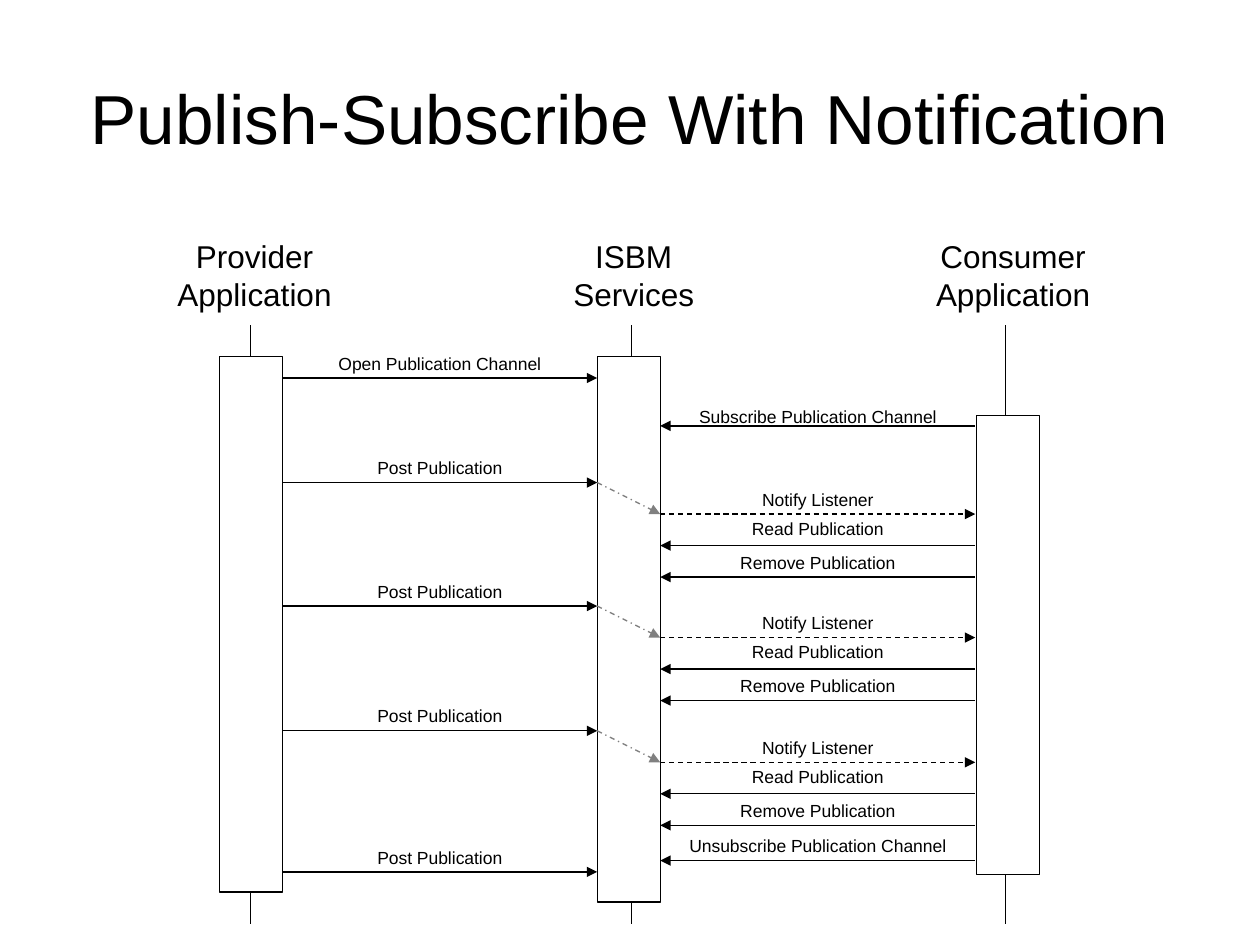
"""Build the publish-subscribe sequence diagram slide."""
from lxml.etree import SubElement
from pptx import Presentation
from pptx.dml.color import RGBColor
from pptx.enum.dml import MSO_LINE
from pptx.enum.shapes import MSO_CONNECTOR, MSO_SHAPE
from pptx.enum.text import MSO_ANCHOR, MSO_AUTO_SIZE, PP_ALIGN
from pptx.oxml.ns import qn
from pptx.util import Inches, Pt

BLACK = RGBColor(0x00, 0x00, 0x00)
WHITE = RGBColor(0xFF, 0xFF, 0xFF)
GRAY = RGBColor(0x80, 0x80, 0x80)

PROVIDER_EDGE, SERVICE_LEFT, SERVICE_RIGHT, CONSUMER_EDGE = 2.24, 4.74, 5.24, 7.74
BAR_WIDTH = 0.5
LABEL_HEIGHT = 0.27
LIFELINE_TOP, LIFELINE_BOTTOM = 2.58, 7.33
CYCLE_STARTS = (3.83, 4.81, 5.8)
LABEL_WIDTHS = {
    "Open Publication Channel": 1.82,
    "Subscribe Publication Channel": 2.1,
    "Unsubscribe Publication Channel": 2.26,
    "Post Publication": 1.25,
    "Notify Listener": 1.09,
    "Read Publication": 1.26,
    "Remove Publication": 1.44,
}
PARTICIPANTS = [
    # name, header centre, header width, lifeline x, bar left, bar top, bar height
    ("Provider\nApplication", 2.02, 1.42, 1.99, 1.74, 2.83, 4.25),
    ("ISBM\nServices", 5.03, 1.16, 5.01, 4.74, 2.83, 4.33),
    ("Consumer\nApplication", 8.04, 1.42, 7.98, 7.75, 3.3, 3.64),
]


def write_text(frame, text, size=10, color=BLACK, font="Arial", wrap=False,
               fit=MSO_AUTO_SIZE.SHAPE_TO_FIT_TEXT):
    frame.text = text
    frame.word_wrap = wrap
    frame.auto_size = fit
    for paragraph in frame.paragraphs:
        paragraph.alignment = PP_ALIGN.CENTER
        paragraph.font.size = Pt(size)
        paragraph.font.name = font
        paragraph.font.color.rgb = color


class SequenceDiagram:
    def __init__(self, slide, line_width=0.75):
        self.slide = slide
        self.line_width = Pt(line_width)

    def title(self, text):
        shape = self.slide.shapes.title
        shape.left, shape.top = Inches(0.5), Inches(0.3)
        shape.width, shape.height = Inches(9), Inches(1.25)
        write_text(shape.text_frame, text, size=39.6, wrap=True, fit=MSO_AUTO_SIZE.NONE)
        shape.text_frame.vertical_anchor = MSO_ANCHOR.MIDDLE

    def label(self, text, center, top, width, height=LABEL_HEIGHT, size=10):
        shape = self.slide.shapes.add_textbox(
            Inches(center - width / 2), Inches(top), Inches(width), Inches(height))
        write_text(shape.text_frame, text, size=size)

    def line(self, start, end, color=BLACK, dash=None, arrow=True):
        connector = self.slide.shapes.add_connector(
            MSO_CONNECTOR.STRAIGHT, *(Inches(value) for value in (*start, *end)))
        connector.line.color.rgb = color
        connector.line.width = self.line_width
        if dash:
            connector.line.dash_style = dash
        if arrow:
            SubElement(connector.line._get_or_add_ln(), qn("a:tailEnd"), type="triangle")
        SubElement(connector._element.spPr, qn("a:effectLst"))

    def bar(self, left, top, height):
        shape = self.slide.shapes.add_shape(
            MSO_SHAPE.RECTANGLE, Inches(left), Inches(top), Inches(BAR_WIDTH), Inches(height))
        shape.shadow.inherit = False
        shape.fill.solid()
        shape.fill.fore_color.rgb = WHITE
        shape.line.color.rgb = BLACK
        shape.line.width = self.line_width

    def message(self, text, source, target, y, rise=0.25, dash=None):
        self.line((source, y), (target, y), dash=dash)
        self.label(text, (source + target) / 2, y - rise, LABEL_WIDTHS[text])

    def publish(self, text, y):
        self.message(text, PROVIDER_EDGE, SERVICE_LEFT, y)

    def consume(self, text, y, rise=0.25):
        self.message(text, CONSUMER_EDGE, SERVICE_RIGHT, y, rise)

    def cycle(self, y):
        self.publish("Post Publication", y)
        self.line((SERVICE_LEFT, y), (SERVICE_RIGHT, y + 0.25), GRAY, MSO_LINE.DASH_DOT)
        self.message("Notify Listener", SERVICE_RIGHT, CONSUMER_EDGE, y + 0.25,
                     dash=MSO_LINE.DASH)
        self.consume("Read Publication", y + 0.5, rise=0.27)
        self.consume("Remove Publication", y + 0.75)


def main():
    presentation = Presentation()
    presentation.slide_width, presentation.slide_height = Inches(10), Inches(7.5)
    slide = presentation.slides.add_slide(presentation.slide_layouts[5])
    diagram = SequenceDiagram(slide)
    diagram.title("Publish-Subscribe With Notification")

    for name, center, width, lifeline, left, top, height in PARTICIPANTS:
        diagram.label(name, center, 1.83, width, height=0.7, size=18)
        diagram.line((lifeline, LIFELINE_TOP), (lifeline, LIFELINE_BOTTOM), arrow=False)
        diagram.bar(left, top, height)

    diagram.publish("Open Publication Channel", 3)
    diagram.consume("Subscribe Publication Channel", 3.38, rise=0.21)
    for start in CYCLE_STARTS:
        diagram.cycle(start)
    diagram.consume("Unsubscribe Publication Channel", 6.83)
    diagram.publish("Post Publication", 6.92)

    presentation.save("out.pptx")


if __name__ == "__main__":
    main()
